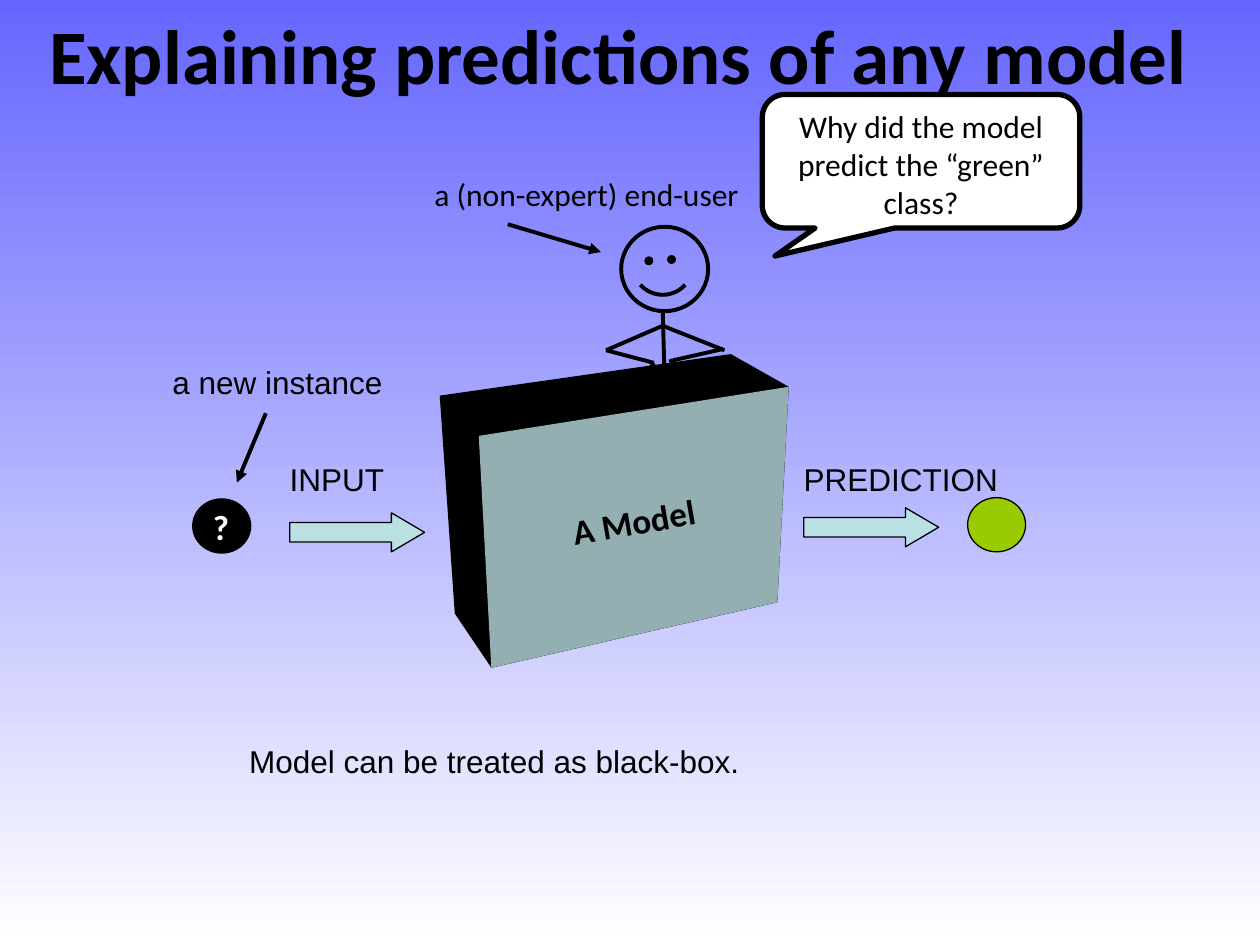
import pptx
import pptx.dml.color
import pptx.enum.shapes
import pptx.enum.text
import pptx.oxml
import pptx.util
from pptx.oxml.ns import qn

RGBColor = pptx.dml.color.RGBColor
BLACK = RGBColor(0x00, 0x00, 0x00)
WHITE = RGBColor(0xFF, 0xFF, 0xFF)
SKY = RGBColor(0x66, 0x66, 0xFF)
PALE_TEAL = RGBColor(0xBB, 0xE0, 0xE3)
SHADED_TEAL = RGBColor(0x93, 0xAF, 0xB2)
GREEN = RGBColor(0x99, 0xCC, 0x00)

SHAPE = pptx.enum.shapes.MSO_SHAPE
ANCHOR = pptx.enum.text.MSO_ANCHOR
ALIGN = pptx.enum.text.PP_ALIGN
AUTO_SIZE = pptx.enum.text.MSO_AUTO_SIZE

COLUMNS, ROWS = 100, 75
THIN, MEDIUM, THICK = 0.75, 2.25, 3


class SlideBuilder:
    """Places elements on the slide; lengths are grid columns and rows."""

    def __init__(self, presentation):
        self.column = presentation.slide_width / COLUMNS
        self.row = presentation.slide_height / ROWS
        self.slide = presentation.slides.add_slide(presentation.slide_layouts[5])
        self.shapes = self.slide.shapes

    def point(self, column, row):
        return round(column * self.column), round(row * self.row)

    def box(self, left, top, width, height):
        return self.point(left, top) + self.point(width, height)

    def background(self, top_color, bottom_color):
        fill = self.slide.background.fill
        fill.gradient()
        fill.gradient_angle = 270
        for stop, color in zip(fill.gradient_stops, (top_color, bottom_color)):
            stop.color.rgb = color

    def set_text(self, shape, text, size=18, font="Calibri", color=BLACK, bold=False,
                 align=ALIGN.LEFT, **frame_format):
        frame = shape.text_frame
        for name, value in frame_format.items():
            setattr(frame, name, value)
        paragraph = frame.paragraphs[0]
        paragraph.alignment = align
        run = paragraph.add_run()
        run.text = text
        for name, value in {"size": pptx.util.Pt(size), "name": font, "bold": bold}.items():
            setattr(run.font, name, value)
        run.font.color.rgb = color

    def title(self, text, box, **text_format):
        shape = self.shapes.title
        for name, value in zip(("left", "top", "width", "height"), self.box(*box)):
            setattr(shape, name, value)
        self.set_text(shape, text, auto_size=AUTO_SIZE.NONE,
                      vertical_anchor=ANCHOR.MIDDLE, **text_format)

    def label(self, text, box, rotation=0, word_wrap=False, **text_format):
        shape = self.shapes.add_textbox(*self.box(*box))
        shape.rotation = rotation
        self.set_text(shape, text, word_wrap=word_wrap,
                      auto_size=AUTO_SIZE.SHAPE_TO_FIT_TEXT, **text_format)

    def paint(self, shape, fill, line_width):
        shape.shadow.inherit = False
        if fill is None:
            shape.fill.background()
        else:
            shape.fill.solid()
            shape.fill.fore_color.rgb = fill
        if line_width:
            shape.line.color.rgb = BLACK
            shape.line.width = pptx.util.Pt(line_width)
        else:
            shape.line.fill.background()
        return shape

    def preset(self, kind, box, fill=None, line_width=THIN, adjustments=()):
        shape = self.shapes.add_shape(kind, *self.box(*box))
        for index, value in enumerate(adjustments):
            shape.adjustments[index] = value
        return self.paint(shape, fill, line_width)

    def polygon(self, corners, fill):
        start, *others = [self.point(*corner) for corner in corners]
        builder = self.shapes.build_freeform(*start)
        builder.add_line_segments(others, close=True)
        return self.paint(builder.convert_to_shape(), fill, None)

    def line(self, start, end, arrow=False):
        connector = self.shapes.add_connector(
            pptx.enum.shapes.MSO_CONNECTOR.STRAIGHT, *self.point(*start), *self.point(*end))
        connector.line.color.rgb = BLACK
        connector.line.width = pptx.util.Pt(MEDIUM)
        properties = connector._element.spPr
        if arrow:
            outline = properties.find(qn("a:ln"))
            outline.append(outline.makeelement(qn("a:tailEnd"), {"type": "triangle"}))
        properties.append(properties.makeelement(qn("a:effectLst"), {}))
        return connector

    def group(self, members):
        self.shapes.add_group_shape(members)


def add_model_box(builder):
    front_top_left, right_top = (38, 34.6), (62.6, 30.7)
    right_bottom, front_bottom_left = (61.7, 47.8), (39, 53)
    builder.polygon([(34.9, 31.4), (58, 28.1), right_top, right_bottom,
                     front_bottom_left, (36.1, 48.7)], BLACK)
    builder.polygon([front_top_left, right_top, right_bottom, front_bottom_left], SHADED_TEAL)
    builder.label("A Model", (44.4, 39.2, 11.8, 4.3), rotation=350.1, size=20, bold=True)


def add_flow(builder):
    for text, text_box, arrow_box in (
        ("INPUT", (22, 36, 9.5, 4), (23, 40.7, 10.7, 3.1)),
        ("PREDICTION", (62.8, 36, 17.8, 4), (63.8, 40.3, 10.7, 3.1)),
    ):
        builder.label(text, text_box, word_wrap=text == "PREDICTION", font="Arial")
        builder.preset(SHAPE.RIGHT_ARROW, arrow_box, PALE_TEAL, adjustments=(0.5, 0.85))
    builder.preset(SHAPE.OVAL, (15.3, 39.6, 4.6, 4.3), BLACK)
    builder.label("?", (15.9, 39.6, 2.9, 4.3), word_wrap=True, size=20, color=WHITE, bold=True)
    builder.preset(SHAPE.OVAL, (76.8, 39.5, 4.6, 4.3), GREEN)
    builder.label("a new instance", (12.7, 28.3, 18.7, 4), font="Arial")
    builder.line((21.1, 32.8), (18.8, 38.3), arrow=True)


def add_person(builder):
    head = builder.preset(SHAPE.OVAL, (49.3, 18, 6.9, 6.7), line_width=MEDIUM)
    # Arc adjustments are angles in units of 5/3 degree: 42 to 138 degrees.
    smile = builder.preset(SHAPE.ARC, (50.2, 18.6, 4.8, 4.8), line_width=MEDIUM,
                           adjustments=(42 * 0.6, 138 * 0.6))
    eyes = [builder.preset(SHAPE.OVAL, (left, top, 0.6, 0.6), BLACK)
            for left, top in ((51.2, 20.4), (53, 20.3))]
    limbs = [builder.line(start, end) for start, end in (
        ((52.6, 24.7), (52.8, 32)),
        ((52.5, 25.9), (48.1, 27.8)),
        ((52.7, 25.9), (57.5, 27.8)),
        ((48.1, 27.8), (51.9, 28.8)),
        ((53.4, 28.6), (57.4, 27.7)),
        ((51.9, 28.8), (51, 30.1)),
        ((53.2, 28.5), (53.8, 29.9)),
    )]
    builder.group([head, smile, *eyes, *limbs])
    builder.line((40.3, 17.8), (47.7, 20), arrow=True)
    builder.label("a (non-expert) end-user", (33.5, 13.4, 26.3, 4))


def add_question(builder):
    callout = builder.preset(SHAPE.ROUNDED_RECTANGULAR_CALLOUT, (60.5, 7.5, 25.2, 10.6),
                             WHITE, THICK, adjustments=(-0.46, 0.71, 0.17))
    builder.set_text(callout, "Why did the model predict the “green” class?",
                     align=ALIGN.CENTER, word_wrap=True, vertical_anchor=ANCHOR.TOP)


def main():
    presentation = pptx.Presentation()
    presentation.slide_width = pptx.util.Inches(10)
    presentation.slide_height = pptx.util.Inches(7.5)
    builder = SlideBuilder(presentation)
    builder.background(SKY, WHITE)
    builder.title("Explaining predictions of any model", (2.9, 0, 99.3, 8.5), size=44, bold=True)
    add_model_box(builder)
    add_flow(builder)
    add_person(builder)
    add_question(builder)
    builder.label("Model can be treated as black-box.", (18.8, 58.4, 67, 4),
                  word_wrap=True, font="Arial")
    presentation.save("out.pptx")


if __name__ == "__main__":
    main()
